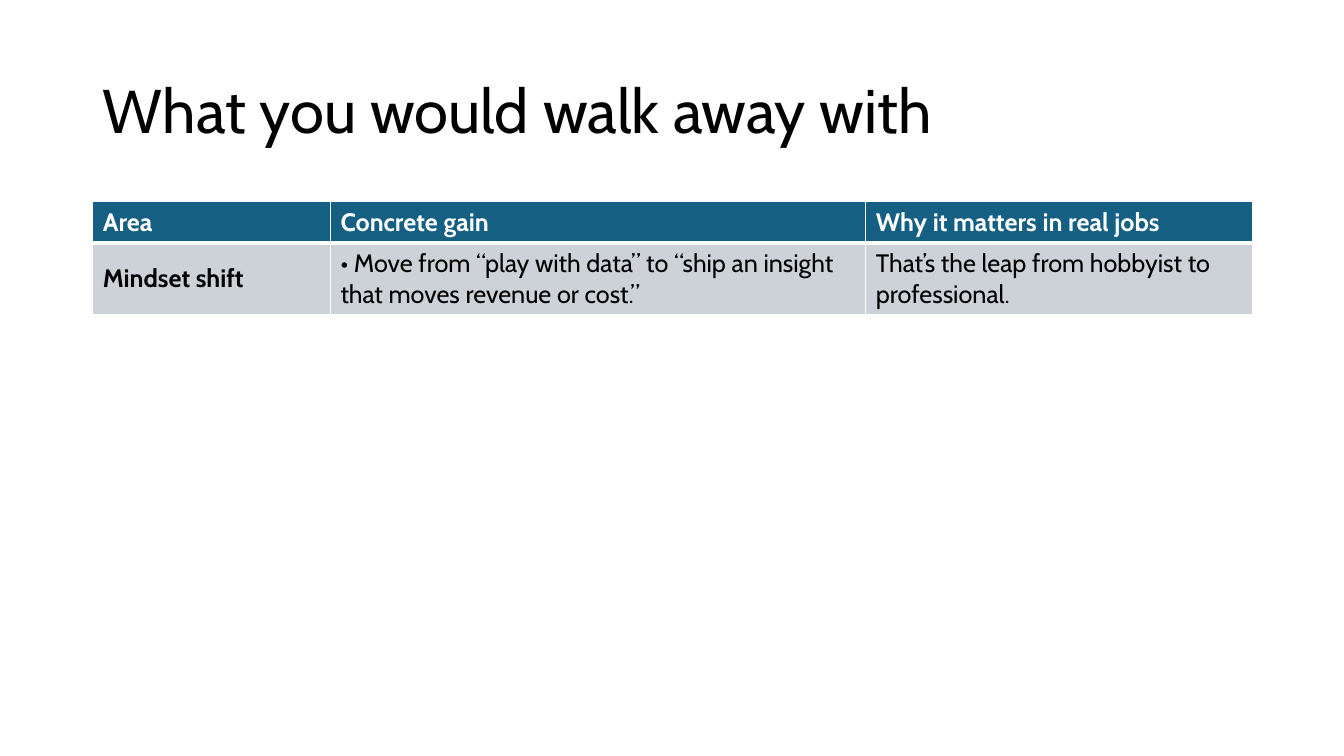
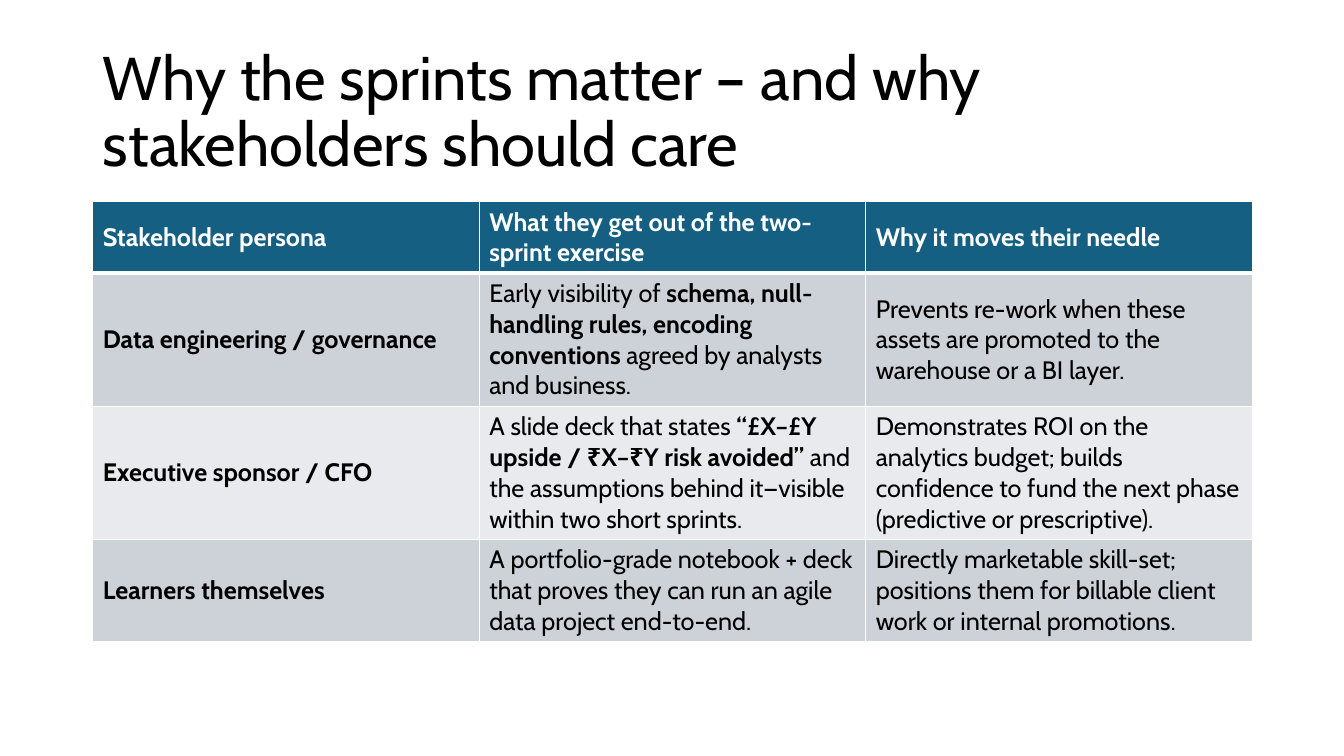
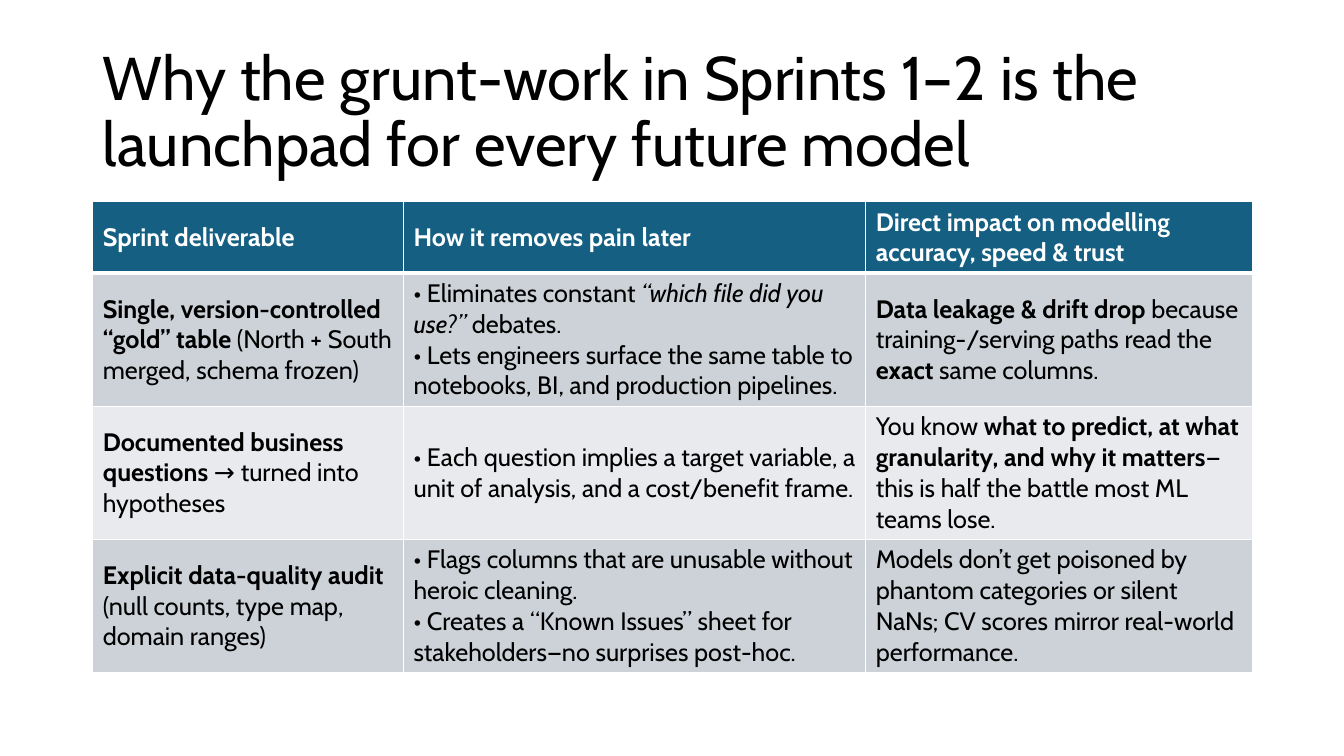
import pptx
import pptx.dml.color
import pptx.enum.text
import pptx.oxml
import pptx.oxml.ns
import pptx.util

RGBColor = pptx.dml.color.RGBColor
TEAL = RGBColor(0x15, 0x60, 0x82)
GREY = RGBColor(0xCC, 0xD2, 0xD8)
PALE = RGBColor(0xE8, 0xEA, 0xED)
BLACK = RGBColor(0, 0, 0)
WHITE = RGBColor(0xFF, 0xFF, 0xFF)

FONT = "Cabin"
MIDDLE = pptx.enum.text.MSO_ANCHOR.MIDDLE

WIDE = pptx.util.Inches(13.33)
HIGH = pptx.util.Inches(7.5)
LEFT = pptx.util.Inches(0.92)
SPAN = pptx.util.Inches(11.5)
ROW = pptx.util.Inches(0.41)

# Per slide: title, share of the first column, table rows with the header first.
# In cell text, *stars* mark bold, _underscores_ italic, a new line a paragraph.
GAINS = (
    "What you would walk away with",
    0.205,
    [
        ("Area", "Concrete gain", "Why it matters in real jobs"),
        (
            "*Mindset shift*",
            "• Move from “play with data” to “ship an insight that moves "
            "revenue or cost.”",
            "That’s the leap from hobbyist to professional.",
        ),
    ],
)
PEOPLE = (
    "Why the sprints matter – and why stakeholders should care",
    1 / 3,
    [
        (
            "Stakeholder persona",
            "What they get out of the two-sprint exercise",
            "Why it moves their needle",
        ),
        (
            "*Data engineering / governance*",
            "Early visibility of *schema, null-handling rules, encoding "
            "conventions* agreed by analysts and business.",
            "Prevents re-work when these assets are promoted to the "
            "warehouse or a BI layer.",
        ),
        (
            "*Executive sponsor / CFO*",
            "A slide deck that states *“£X–£Y upside / ₹X–₹Y risk avoided”* "
            "and the assumptions behind it—visible within two short sprints.",
            "Demonstrates ROI on the analytics budget; builds confidence to "
            "fund the next phase (predictive or prescriptive).",
        ),
        (
            "*Learners themselves*",
            "A portfolio-grade notebook + deck that proves they can run an "
            "agile data project end-to-end.",
            "Directly marketable skill-set; positions them for billable "
            "client work or internal promotions.",
        ),
    ],
)
MODELS = (
    "Why the grunt-work in Sprints 1–2 is the launchpad for every future model",
    0.268,
    [
        (
            "Sprint deliverable",
            "How it removes pain later",
            "Direct impact on modelling accuracy, speed & trust",
        ),
        (
            "*Single, version-controlled “gold” table* (North + South merged, "
            "schema frozen)",
            "• Eliminates constant _“which file did you use?”_ debates.\n"
            "• Lets engineers surface the same table to notebooks, BI, and "
            "production pipelines.",
            "*Data leakage & drift drop* because training-/serving paths read "
            "the *exact* same columns.",
        ),
        (
            "*Documented business questions* → turned into hypotheses",
            "• Each question implies a target variable, a unit of analysis, "
            "and a cost/benefit frame.",
            "You know *what to predict, at what granularity, and why it "
            "matters*—this is half the battle most ML teams lose.",
        ),
        (
            "*Explicit data-quality audit* (null counts, type map, domain "
            "ranges)",
            "• Flags columns that are unusable without heroic cleaning.\n"
            "• Creates a “Known Issues” sheet for stakeholders—no surprises "
            "post-hoc.",
            "Models don’t get poisoned by phantom categories or silent NaNs; "
            "CV scores mirror real-world performance.",
        ),
    ],
)


def add_run(para, text, size, color, bold=False, italic=False):
    run = para.add_run()
    run.text = text
    font = run.font
    font.name = FONT
    font.size = pptx.util.Pt(size)
    font.color.rgb = color
    font.bold = bold
    font.italic = italic


def add_text(frame, text, size, color):
    """Fill a frame, turning the star and underscore marks into runs."""
    for row, line in enumerate(text.split("\n")):
        para = frame.add_paragraph() if row else frame.paragraphs[0]
        for i, part in enumerate(line.split("*")):
            for j, bit in enumerate(part.split("_")):
                if bit:
                    add_run(para, bit, size, color, i % 2 == 1, j % 2 == 1)


def set_edges(cell, base):
    """Draw white cell borders, the lower one base points wide."""
    props = cell._tc.get_or_add_tcPr()
    sides = {"lnL": 1, "lnR": 1, "lnT": 1, "lnB": base}
    for place, (side, width) in enumerate(sides.items()):
        edge = pptx.oxml.parse_xml(
            f'<a:{side} {pptx.oxml.ns.nsdecls("a")} w="{pptx.util.Pt(width)}">'
            f'<a:solidFill><a:srgbClr val="{WHITE}"/></a:solidFill></a:{side}>'
        )
        props.insert(place, edge)


def fill_cell(cell, text, head, fill):
    cell.fill.solid()
    cell.fill.fore_color.rgb = fill
    cell.vertical_anchor = MIDDLE
    set_edges(cell, 3 if head else 1)
    if head:
        text = f"*{text}*"
    add_text(cell.text_frame, text, 18, WHITE if head else BLACK)


def add_title(slide, text):
    title = slide.shapes.title
    title.left, title.top = LEFT, pptx.util.Inches(0.4)
    title.width, title.height = SPAN, pptx.util.Inches(1.45)
    frame = title.text_frame
    frame.word_wrap = True
    frame.auto_size = pptx.enum.text.MSO_AUTO_SIZE.NONE
    frame.vertical_anchor = MIDDLE
    para = frame.paragraphs[0]
    para.alignment = pptx.enum.text.PP_ALIGN.LEFT
    para.line_spacing = 0.9
    add_run(para, text, 44, BLACK)


def add_grid(slide, first, rows):
    """Add a table whose last column takes a third and the middle the rest."""
    table = slide.shapes.add_table(
        len(rows), 3, LEFT, pptx.util.Inches(2), SPAN, ROW * len(rows)
    ).table
    table.horz_banding = False
    shares = (first, 2 / 3 - first, 1 / 3)
    for col, share in zip(table.columns, shares):
        col.width = int(SPAN * share)
    for r, texts in enumerate(rows):
        fill = TEAL if r == 0 else GREY if r % 2 else PALE
        for c, text in enumerate(texts):
            fill_cell(table.cell(r, c), text, r == 0, fill)


def main():
    deck = pptx.Presentation()
    deck.slide_width, deck.slide_height = WIDE, HIGH
    plain = deck.slide_layouts.get_by_name("Title Only")
    for title, first, rows in (GAINS, PEOPLE, MODELS):
        slide = deck.slides.add_slide(plain)
        add_title(slide, title)
        add_grid(slide, first, rows)
    deck.save("out.pptx")


if __name__ == "__main__":
    main()
